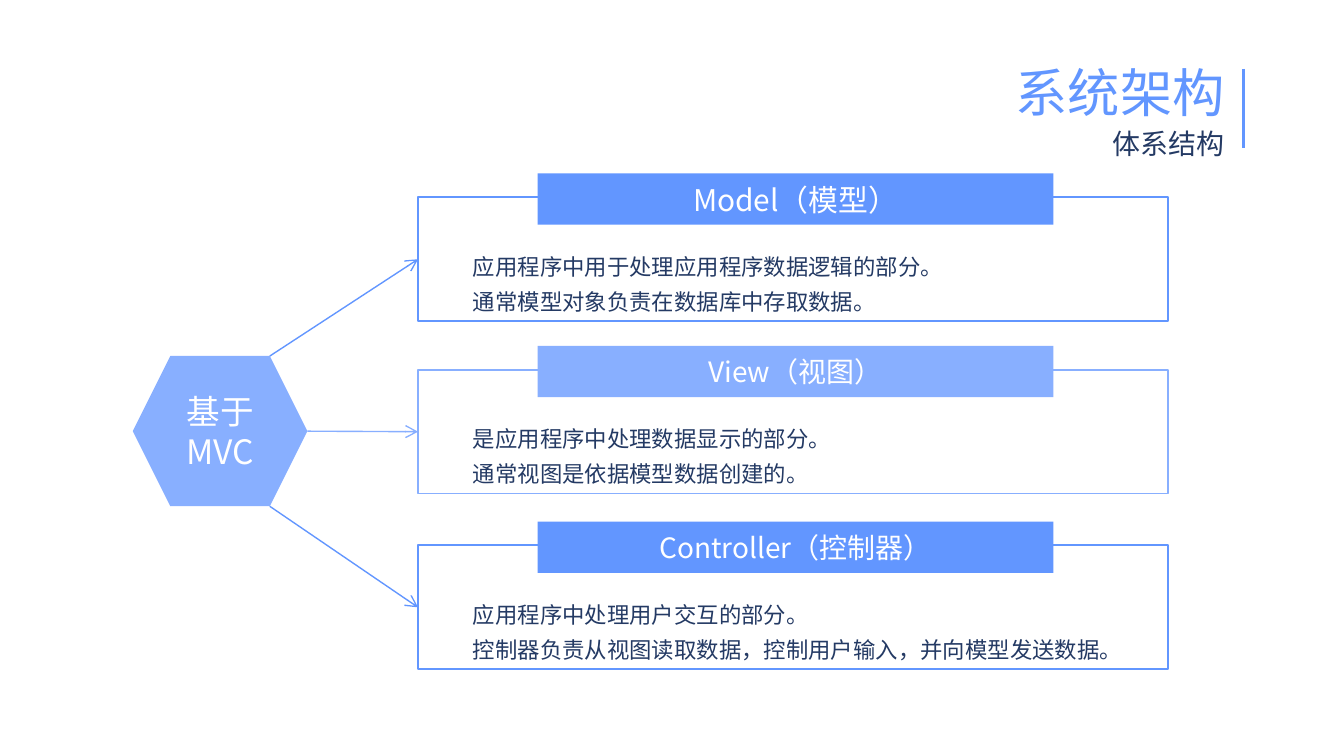
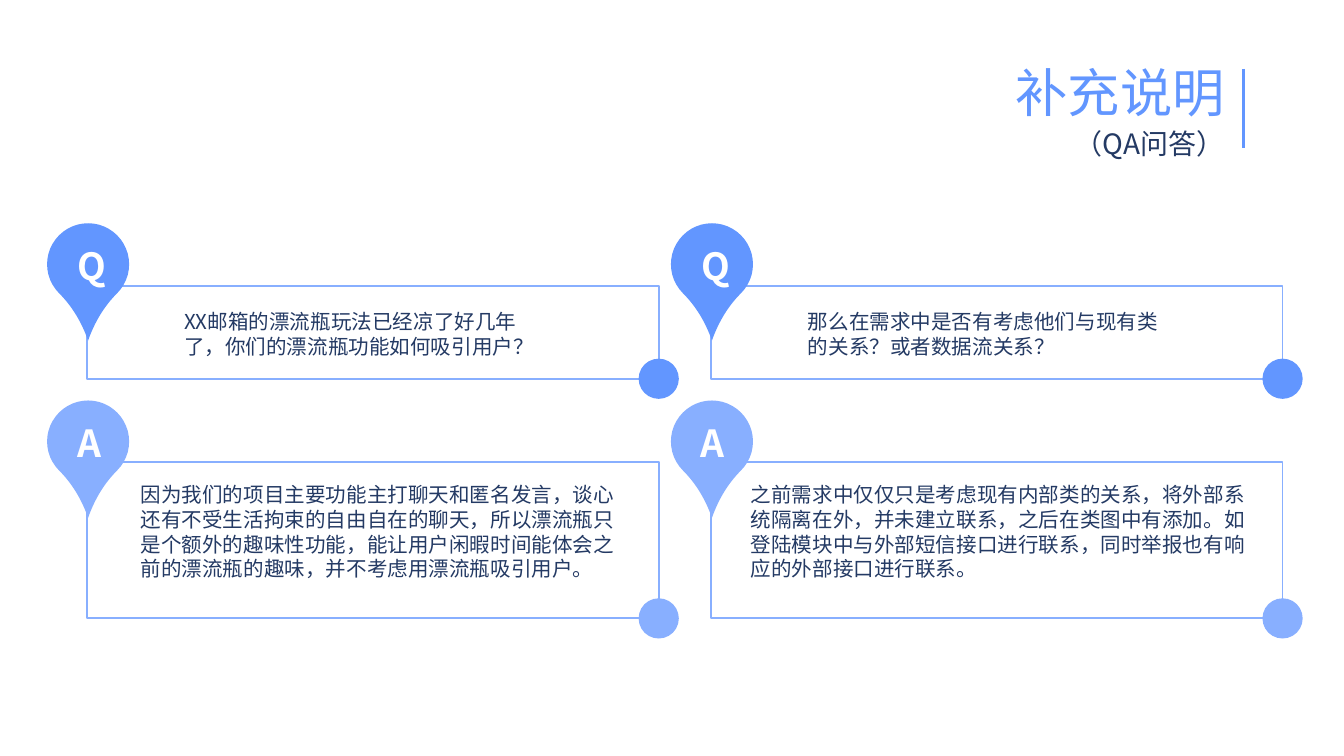
import dataclasses
import typing

import lxml.etree
import pptx
import pptx.dml.color
import pptx.enum.shapes
import pptx.enum.text
import pptx.oxml.ns
import pptx.util

Cm = pptx.util.Cm
Pt = pptx.util.Pt
SHAPE = pptx.enum.shapes.MSO_SHAPE
ALIGN = pptx.enum.text.PP_ALIGN
ANCHOR = pptx.enum.text.MSO_ANCHOR
AUTO_SIZE = pptx.enum.text.MSO_AUTO_SIZE
STRAIGHT = pptx.enum.shapes.MSO_CONNECTOR.STRAIGHT

FONT = "Noto Sans CJK SC"
BLUE = "6296FF"
LIGHT_BLUE = "88AFFF"
NAVY = "243A64"
WHITE = "FFFFFF"

TIGHT_INSETS = {
    "margin_left": Cm(0.2), "margin_right": Cm(0.2),
    "margin_top": Cm(0.1), "margin_bottom": Cm(0.1),
}
CENTERED = {"word_wrap": True, "vertical_anchor": ANCHOR.MIDDLE, **TIGHT_INSETS}
GROWING = {"word_wrap": True, "auto_size": AUTO_SIZE.SHAPE_TO_FIT_TEXT}
HEADING = {"alignment": ALIGN.RIGHT, "line_spacing": 0.9}


class Area(typing.NamedTuple):
    left: float
    top: float
    width: float
    height: float

    def lengths(self) -> list[int]:
        return [Cm(value) for value in self]


@dataclasses.dataclass(frozen=True)
class Layer:
    top: float
    name: str
    name_size: int
    color: str
    arrow_start: tuple[float, float]
    lines: list[str]


@dataclasses.dataclass(frozen=True)
class CardStyle:
    letter: str
    color: str
    frame: Area
    pin_top: float
    label: Area


@dataclasses.dataclass(frozen=True)
class Card:
    style: CardStyle
    column: int
    text_area: Area
    text: str


LAYERS = [
    Layer(3.73, "Model（模型）", 16, BLUE, (5.1, 6.73),
          ["应用程序中用于处理应用程序数据逻辑的部分。",
           "通常模型对象负责在数据库中存取数据。"]),
    Layer(6.99, "View（视图）", 15, LIGHT_BLUE, (5.81, 8.15),
          ["是应用程序中处理数据显示的部分。",
           "通常视图是依据模型数据创建的。"]),
    Layer(10.31, "Controller（控制器）", 15, BLUE, (5.1, 9.57),
          ["应用程序中处理用户交互的部分。",
           "控制器负责从视图读取数据，控制用户输入，并向模型发送数据。"]),
]

COLUMN_PITCH = 11.79
PIN_SIZE = 1.55
DOT_SIZE = 0.76
QUESTION = CardStyle("Q", BLUE, Area(1.65, 5.41, 10.8, 1.75), 4.22,
                     Area(1.22, 4.47, 0.94, 1.02))
ANSWER = CardStyle("A", LIGHT_BLUE, Area(1.65, 8.74, 10.8, 2.95), 7.57,
                   Area(1.12, 7.82, 1.04, 1.12))
CARDS = [
    Card(QUESTION, 0, Area(3.23, 5.72, 7.14, 1.19),
         "XX邮箱的漂流瓶玩法已经凉了好几年了，你们的漂流瓶功能如何吸引用户？"),
    Card(ANSWER, 0, Area(2.41, 8.99, 9.65, 2.13),
         "因为我们的项目主要功能主打聊天和匿名发言，谈心还有不受生活拘束的自由自在的聊天，"
         "所以漂流瓶只是个额外的趣味性功能，能让用户闲暇时间能体会之前的漂流瓶的趣味，"
         "并不考虑用漂流瓶吸引用户。"),
    Card(QUESTION, 1, Area(3.23, 5.72, 7.14, 1.19),
         "那么在需求中是否有考虑他们与现有类的关系？或者数据流关系？"),
    Card(ANSWER, 1, Area(2.15, 8.99, 10.06, 2.13),
         "之前需求中仅仅只是考虑现有内部类的关系，将外部系统隔离在外，并未建立联系，"
         "之后在类图中有添加。如登陆模块中与外部短信接口进行联系，"
         "同时举报也有响应的外部接口进行联系。"),
]


def rgb(value: str) -> pptx.dml.color.RGBColor:
    return pptx.dml.color.RGBColor.from_string(value)


def apply_format(target: typing.Any, values: dict[str, typing.Any]) -> None:
    for name, value in values.items():
        setattr(target, name, value)


def write(shape: typing.Any, lines: list[str], size: float, color: str,
          frame_format: dict[str, typing.Any],
          paragraph_format: dict[str, typing.Any], bold: bool = False) -> None:
    text_frame = shape.text_frame
    apply_format(text_frame, frame_format)
    for index, line in enumerate(lines):
        paragraph = text_frame.add_paragraph() if index else text_frame.paragraphs[0]
        apply_format(paragraph, paragraph_format)
        run = paragraph.add_run()
        run.text = line
        apply_format(run.font, {"name": FONT, "size": Pt(size), "bold": bold})
        run.font.color.rgb = rgb(color)
        east_asian = lxml.etree.SubElement(run.font._element, pptx.oxml.ns.qn("a:ea"))
        east_asian.set("typeface", FONT)


def add_filled(shapes: typing.Any, kind: typing.Any, area: Area, color: str) -> typing.Any:
    shape = shapes.add_shape(kind, *area.lengths())
    shape.shadow.inherit = False
    shape.fill.solid()
    shape.fill.fore_color.rgb = rgb(color)
    shape.line.fill.background()
    return shape


def add_frame(shapes: typing.Any, area: Area, color: str) -> typing.Any:
    shape = shapes.add_shape(SHAPE.RECTANGLE, *area.lengths())
    shape.shadow.inherit = False
    shape.fill.background()
    shape.line.color.rgb = rgb(color)
    shape.line.width = Pt(1)
    return shape


def add_line(shapes: typing.Any, start: tuple[float, float], end: tuple[float, float],
             color: str, width: float) -> typing.Any:
    connector = shapes.add_connector(STRAIGHT, *[Cm(value) for value in start + end])
    connector.line.color.rgb = rgb(color)
    connector.line.width = Pt(width)
    lxml.etree.SubElement(connector._element.spPr, pptx.oxml.ns.qn("a:effectLst"))
    return connector


def add_arrow(shapes: typing.Any, start: tuple[float, float], target: typing.Any,
              color: str) -> None:
    connector = add_line(shapes, start, start, color, 0.75)
    connector.end_connect(target, 1)
    tail = lxml.etree.SubElement(connector.line._get_or_add_ln(),
                                 pptx.oxml.ns.qn("a:tailEnd"))
    tail.set("type", "arrow")


def add_titled_slide(presentation: typing.Any, title: str, subtitle: str) -> typing.Any:
    slide = presentation.slides.add_slide(presentation.slide_layouts[6])
    headings = [
        (title, Area(13.69, 1.14, 9.7, 1.27), 28, BLUE),
        (subtitle, Area(13.69, 2.34, 9.7, 1.02), 15, NAVY),
    ]
    for text, area, size, color in headings:
        box = slide.shapes.add_textbox(*area.lengths())
        write(box, [text], size, color, {"word_wrap": True}, HEADING)
    add_line(slide.shapes, (23.5, 1.3), (23.5, 2.79), BLUE, 1.5)
    return slide


def add_layer(shapes: typing.Any, layer: Layer) -> None:
    frame = add_frame(shapes, Area(7.9, layer.top, 14.17, 2.34), layer.color)
    banner = add_filled(shapes, SHAPE.RECTANGLE,
                        Area(10.16, layer.top - 0.45, 9.75, 0.97), layer.color)
    write(banner, [layer.name], layer.name_size, WHITE, CENTERED,
          {"alignment": ALIGN.CENTER})
    body = shapes.add_textbox(*Area(8.74, layer.top + 0.8, 12.6, 1.52).lengths())
    write(body, layer.lines, 12, NAVY, {**GROWING, **TIGHT_INSETS}, {"line_spacing": 1.3})
    add_arrow(shapes, layer.arrow_start, frame, layer.color)


def add_card(slide: typing.Any, card: Card) -> None:
    shapes = slide.shapes.add_group_shape().shapes
    style = card.style

    def in_column(area: Area) -> Area:
        return area._replace(left=area.left + card.column * COLUMN_PITCH)

    frame = in_column(style.frame)
    add_frame(shapes, frame, LIGHT_BLUE)
    pin = add_filled(shapes, SHAPE.TEAR,
                     Area(frame.left - 0.76, style.pin_top, PIN_SIZE, PIN_SIZE), style.color)
    pin.adjustments[0] = 1.316
    pin.rotation = 135
    add_filled(shapes, SHAPE.OVAL,
               Area(frame.left + frame.width - DOT_SIZE / 2,
                    frame.top + frame.height - DOT_SIZE / 2, DOT_SIZE, DOT_SIZE), style.color)
    body = shapes.add_textbox(*in_column(card.text_area).lengths())
    write(body, [card.text], 11, NAVY, GROWING, {})
    label = shapes.add_textbox(*in_column(style.label).lengths())
    write(label, [style.letter], 20, WHITE, {**GROWING, "word_wrap": False},
          {"alignment": ALIGN.RIGHT}, bold=True)


def build_architecture(presentation: typing.Any) -> None:
    slide = add_titled_slide(presentation, "系统架构", "体系结构")
    hexagon = add_filled(slide.shapes, SHAPE.HEXAGON, Area(2.51, 6.73, 3.3, 2.84), LIGHT_BLUE)
    write(hexagon, ["基于MVC"], 18, WHITE, CENTERED, {"alignment": ALIGN.CENTER})
    for layer in LAYERS:
        add_layer(slide.shapes, layer)


def build_questions(presentation: typing.Any) -> None:
    slide = add_titled_slide(presentation, "补充说明", "（QA问答）")
    for card in CARDS:
        add_card(slide, card)


def main() -> None:
    presentation = pptx.Presentation()
    apply_format(presentation, {"slide_width": Cm(25.4), "slide_height": Cm(14.29)})
    build_architecture(presentation)
    build_questions(presentation)
    presentation.save("out.pptx")


if __name__ == "__main__":
    main()
